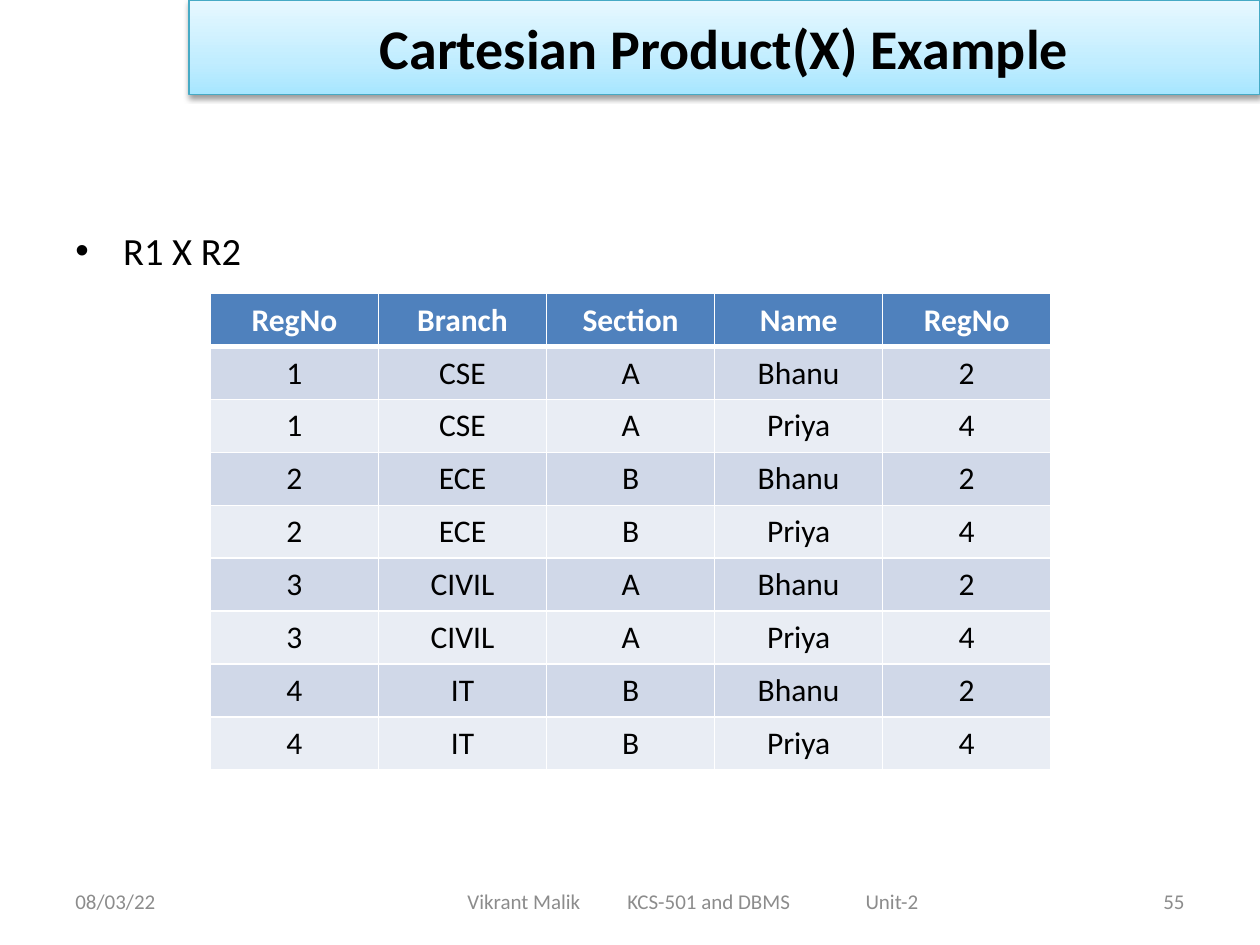
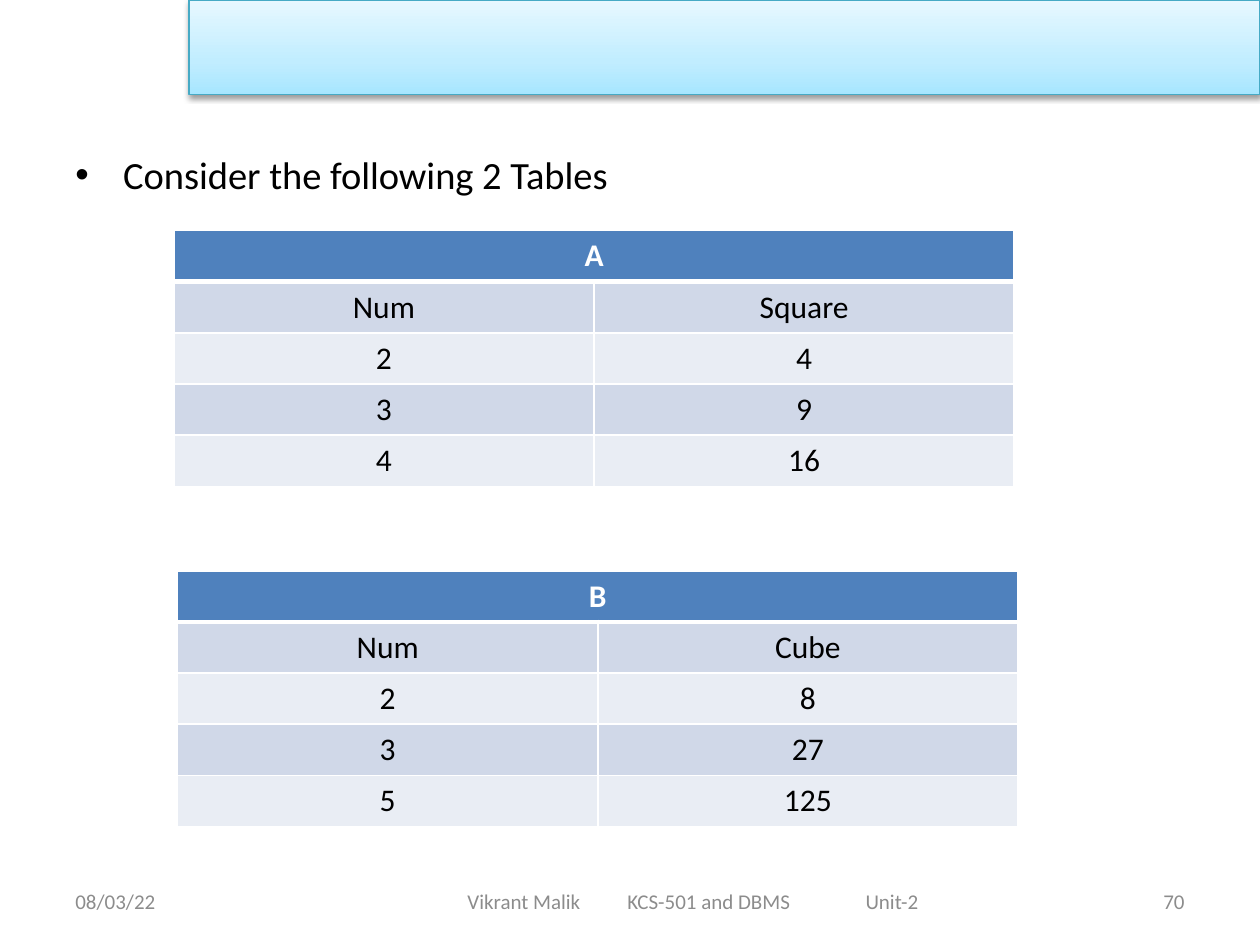
import copy
import itertools

import pptx
import pptx.dml.color
import pptx.enum.shapes
import pptx.enum.text
import pptx.oxml
import pptx.oxml.ns
import pptx.util

Inches = pptx.util.Inches
Pt = pptx.util.Pt
RGB = pptx.dml.color.RGBColor
ALIGN = pptx.enum.text.PP_ALIGN
ANCHOR = pptx.enum.text.MSO_ANCHOR
qn = pptx.oxml.ns.qn

FONT = "Calibri"
BLACK = RGB(0x00, 0x00, 0x00)
WHITE = RGB(0xFF, 0xFF, 0xFF)
GREY = RGB(0x8C, 0x8C, 0x8C)
TEAL = RGB(0x46, 0xAA, 0xC5)
HEAD = RGB(0x4F, 0x81, 0xBD)
STRIPES = (RGB(0xD0, 0xD8, 0xE8), RGB(0xE9, 0xED, 0xF4))
SKY = ((0, RGB(0xA7, 0xE6, 0xFF)),
       (0.35, RGB(0xC1, 0xED, 0xFF)),
       (1, RGB(0xE7, 0xF8, 0xFF)))

TITLE_ONLY, BLANK = 5, 6
BAND = (1.5, 0, 8.5, 0.75)
DATE = "08/03/22"
COURSE = "Vikrant Malik\tKCS-501 and DBMS\tUnit-2"
TABS = (1.27, 3.16)
NS = 'xmlns:a="http://schemas.openxmlformats.org/drawingml/2006/main"'


def inches(box):
    return [Inches(n) for n in box]


def add_xml(parent, xml):
    """Append an element whose root tag carries a {ns} mark."""
    parent.append(pptx.oxml.parse_xml(xml.format(ns=NS)))


def write(frame, text, size=18, color=BLACK, bold=False, align=ALIGN.LEFT,
          anchor=ANCHOR.TOP, bullet=False, tabs=()):
    frame.word_wrap = True
    frame.vertical_anchor = anchor
    para = frame.paragraphs[0]
    para.alignment = align
    props = para._p.get_or_add_pPr()
    if bullet:
        props.set("marL", str(Inches(0.38)))
        props.set("indent", str(-Inches(0.38)))
        add_xml(props, '<a:buFont {ns} typeface="Arial"/>')
        add_xml(props, '<a:buChar {ns} char="•"/>')
    if tabs:
        stops = "".join(f'<a:tab pos="{Inches(t)}" algn="l"/>' for t in tabs)
        add_xml(props, "<a:tabLst {ns}>" + stops + "</a:tabLst>")
    run = para.add_run()
    run.text = text
    font = run.font
    font.name, font.size, font.bold = FONT, Pt(size), bold
    font.color.rgb = color


def add_text(slide, box, text, **style):
    frame = slide.shapes.add_textbox(*inches(box)).text_frame
    write(frame, text, **style)
    return frame


def add_band(slide, box):
    band = slide.shapes.add_shape(
        pptx.enum.shapes.MSO_SHAPE.RECTANGLE, *inches(box))
    band.line.color.rgb = TEAL
    band.line.width = Pt(0.75)
    band.fill.gradient()
    band.fill.gradient_angle = 90
    props = band._element.spPr
    stops = props.find(".//" + qn("a:gsLst"))
    stops.append(copy.deepcopy(stops[0]))
    for stop, (place, color) in zip(band.fill.gradient_stops, SKY):
        stop.position = place
        stop.color.rgb = color
    add_xml(props, '<a:effectLst {ns}><a:outerShdw blurRad="40000" '
                   'dist="20000" dir="5400000" rotWithShape="0">'
                   '<a:srgbClr val="000000"><a:alpha val="38000"/>'
                   '</a:srgbClr></a:outerShdw></a:effectLst>')


def add_title(slide, box, text):
    title = slide.shapes.title
    title.left, title.top, title.width, title.height = inches(box)
    write(title.text_frame, text, size=32, bold=True, align=ALIGN.CENTER,
          anchor=ANCHOR.MIDDLE)
    # Lift the title above the band.
    slide.shapes._spTree.append(title._element)


def add_foot(slide, number, box=(0.5, 6.95, 9, 0.4)):
    left, top, width, height = box
    style = dict(size=12, color=GREY, anchor=ANCHOR.MIDDLE)
    side = 2.33
    add_text(slide, (left, top, side, height), DATE, **style)
    frame = add_text(slide, (left + 2.25, top, 5.5, height), COURSE,
                     tabs=TABS, **style)
    frame.margin_left = Inches(0.96)
    add_text(slide, (left + width - side, top, side, height), str(number),
             align=ALIGN.RIGHT, **style)


def edge(cell, **widths):
    """Draw white cell borders, given in L, R, T, B order."""
    props = cell._tc.get_or_add_tcPr()
    for side, width in widths.items():
        add_xml(props, f'<a:ln{side} {{ns}} w="{Pt(width)}"><a:solidFill>'
                       f'<a:srgbClr val="{WHITE}"/></a:solidFill></a:ln{side}>')


def add_grid(slide, box, rows, pad=0.05):
    """Draw a striped table; a lone heading spans every column."""
    wide = len(rows[-1])
    table = slide.shapes.add_table(len(rows), wide, *inches(box)).table
    for r, row in enumerate(rows):
        head = r == 0
        for c in range(wide):
            cell = table.cell(r, c)
            cell.margin_left = cell.margin_right = Inches(pad)
            cell.margin_top = cell.margin_bottom = Inches(pad)
            edge(cell, L=1, R=1, T=3 if r == 1 else 1, B=3 if head else 1)
            cell.fill.solid()
            cell.fill.fore_color.rgb = HEAD if head else STRIPES[(r - 1) % 2]
            if c < len(row):
                write(cell.text_frame, str(row[c]), bold=head,
                      color=WHITE if head else BLACK, align=ALIGN.CENTER)
                cell.vertical_anchor = ANCHOR.MIDDLE
        if len(row) < wide:
            table.cell(r, 0).merge(table.cell(r, wide - 1))


def add_page(deck, number, point, box, title=None):
    """Add a slide with its band, footer, bullet and optional title."""
    layout = deck.slide_layouts[TITLE_ONLY if title else BLANK]
    slide = deck.slides.add_slide(layout)
    add_foot(slide, number)
    add_band(slide, BAND)
    if title:
        add_title(slide, BAND, title)
    add_text(slide, box, point, size=22, bullet=True)
    return slide


def add_product(deck):
    slide = add_page(deck, 55, "R1 X R2", (0.5, 1.75, 9, 4.95),
                     title="Cartesian Product(X) Example")
    first = [(1, "CSE", "A"), (2, "ECE", "B"), (3, "CIVIL", "A"), (4, "IT", "B")]
    second = [("Bhanu", 2), ("Priya", 4)]
    rows = [("RegNo", "Branch", "Section", "Name", "RegNo")]
    rows += [a + b for a, b in itertools.product(first, second)]
    add_grid(slide, (1.67, 2.33, 6.67, 3.75), rows, pad=0.06)


def add_powers(deck):
    slide = add_page(deck, 70, "Consider the following 2 Tables",
                     (0.5, 1.15, 9, 5.55))
    for left, top, name, label, power, nums in (
            (1.38, 1.83, "A", "Square", 2, (2, 3, 4)),
            (1.41, 4.53, "B", "Cube", 3, (2, 3, 5))):
        rows = [(name,), ("Num", label)] + [(n, n ** power) for n in nums]
        add_grid(slide, (left, top, 6.67, 2.03), rows)


def main():
    deck = pptx.Presentation()
    deck.slide_width, deck.slide_height = Inches(10), Inches(7.5)
    add_product(deck)
    add_powers(deck)
    deck.save("out.pptx")


if __name__ == "__main__":
    main()
